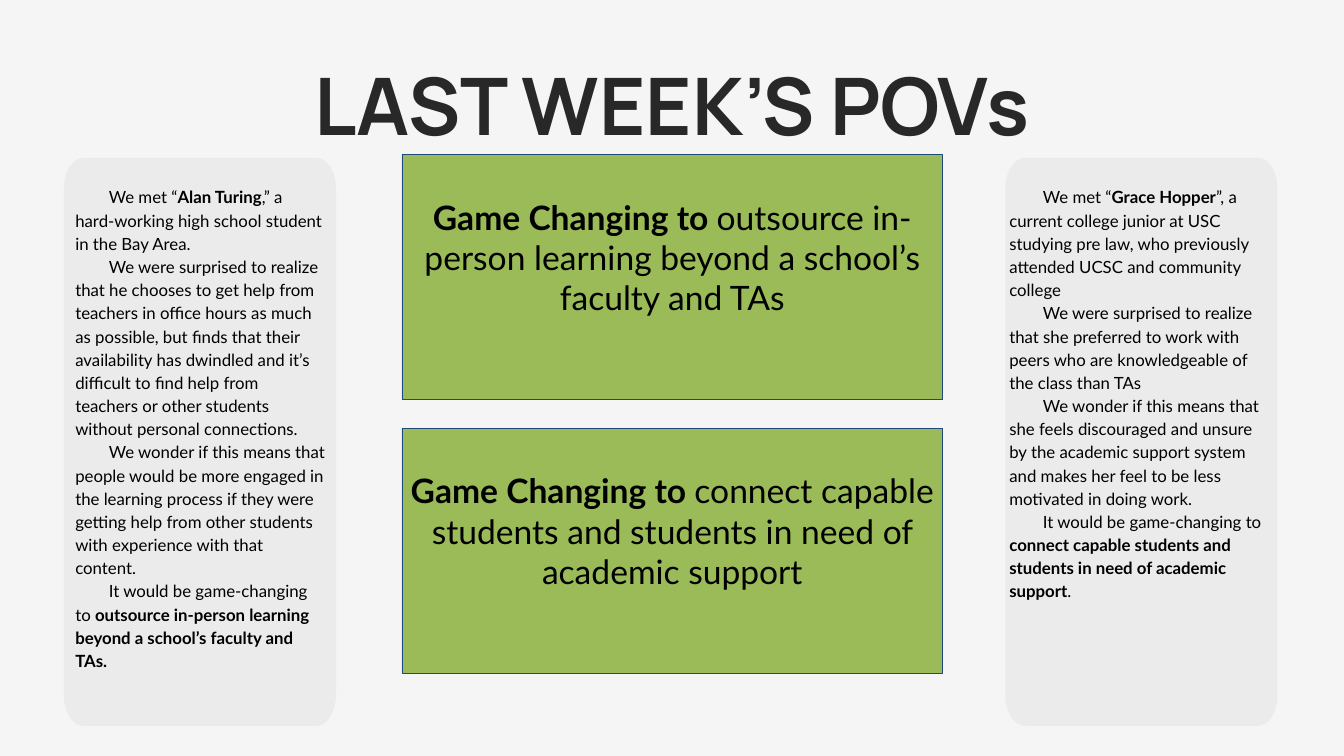
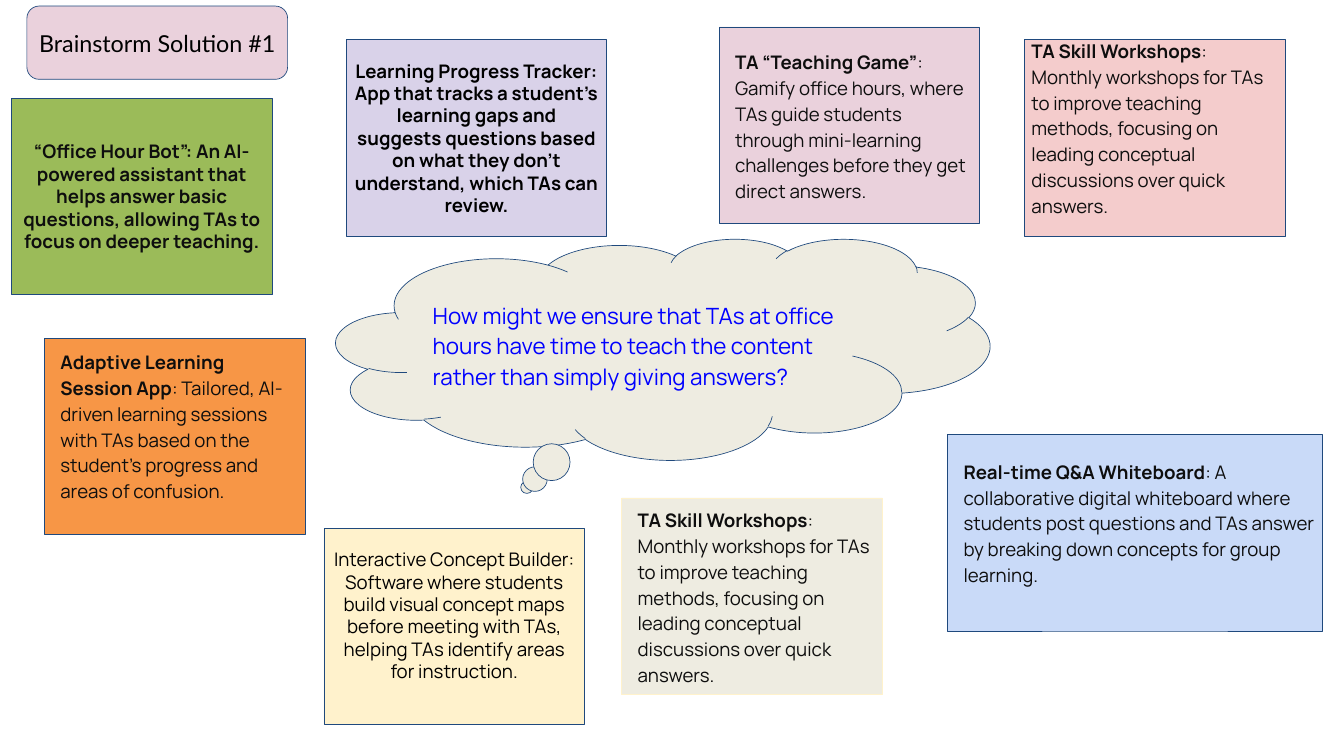
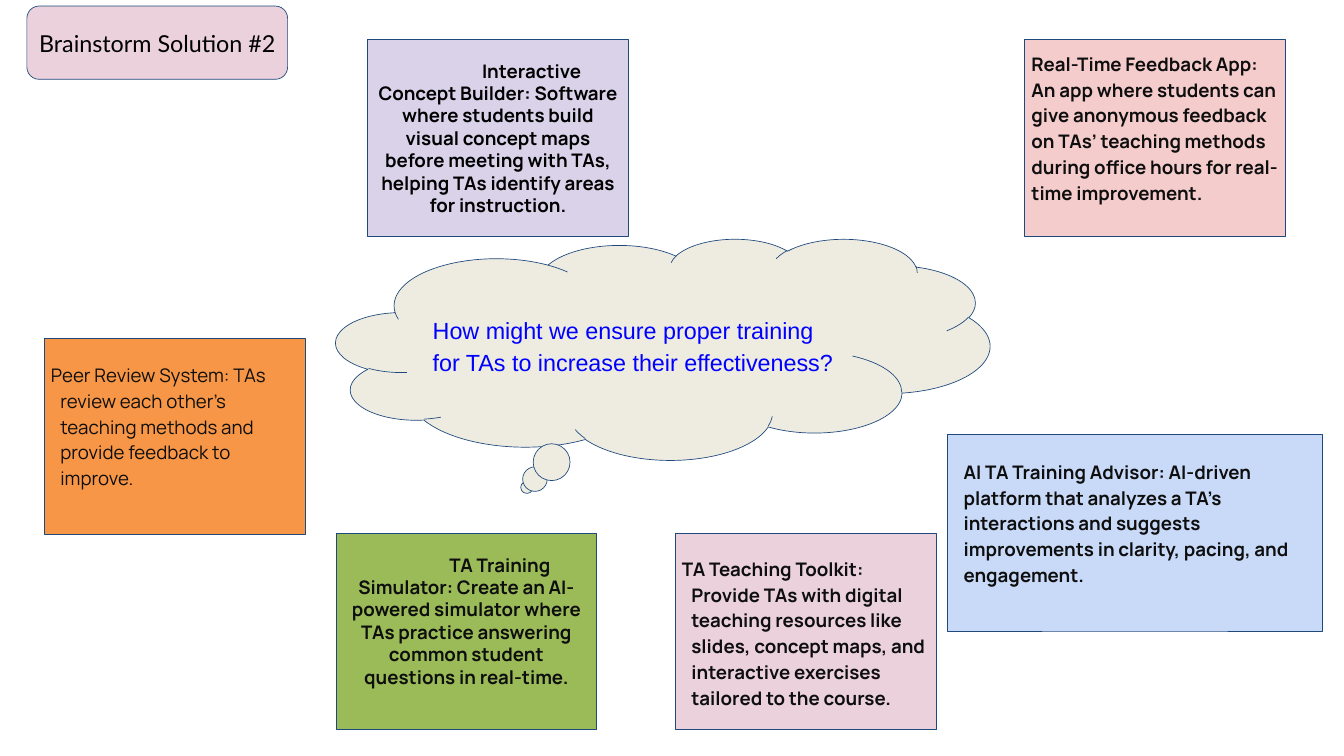
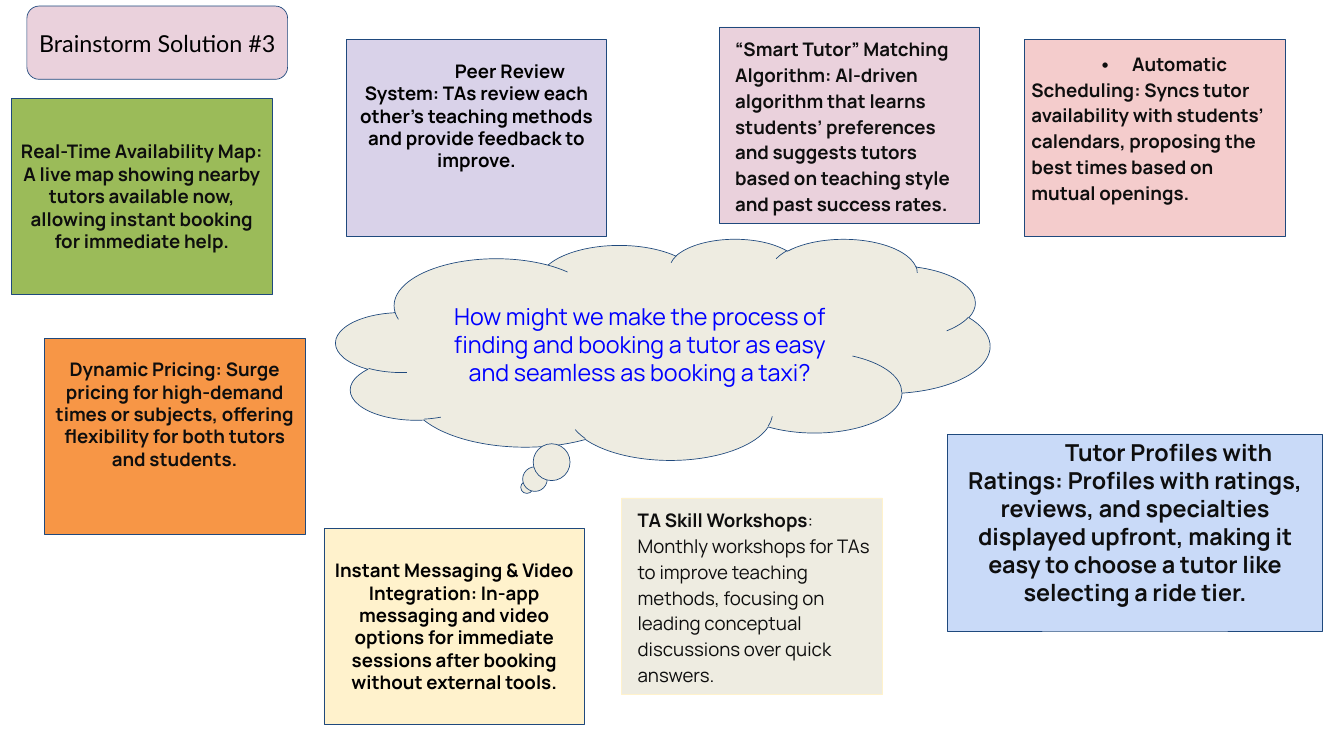
from dataclasses import dataclass
from math import cos, pi, sin

from pptx import Presentation
from pptx.dml.color import RGBColor
from pptx.enum import shapes, text
from pptx.util import Inches, Pt


@dataclass(frozen=True)
class Theme:
    page: str = "FFFFFF"
    pale_page: str = "F5F5F5"
    panel: str = "EBEBEB"
    outline: str = "1F497D"
    title: str = "282828"
    black: str = "000000"
    ink: str = "0E0E0E"
    question: str = "0000FF"
    green: str = "9BBB59"
    lavender: str = "D9D2E9"
    cream: str = "FFF2CC"
    blue: str = "C9DAF8"
    pink: str = "EAD1DC"
    orange: str = "F79646"
    sand: str = "EEECE1"
    rose: str = "F4CCCC"
    title_size: float = 85
    statement_size: float = 36
    label_size: float = 25
    question_size: float = 24
    note_size: float = 20
    story_size: float = 18
    display_font: str = "Manrope"
    body_font: str = "Lato"
    plain_font: str = "Arial"


THEME = Theme()
INSET = 0.1
HANG = 0.14
NOTE_LINE = 0.33
NOTE_WIDTH, NOTE_HEIGHT = 3.88, 2.92
RECTANGLE = shapes.MSO_SHAPE.RECTANGLE
CENTER, LEFT = text.PP_ALIGN.CENTER, text.PP_ALIGN.LEFT


@dataclass(frozen=True)
class Box:
    left: float
    top: float
    width: float = NOTE_WIDTH
    height: float = NOTE_HEIGHT

    def lengths(self) -> tuple:
        return tuple(Inches(v) for v in (self.left, self.top, self.width, self.height))


@dataclass(frozen=True)
class Run:
    text: str
    bold: bool = False


@dataclass(frozen=True)
class Layout:
    """Paragraph format; margin and first_line are in inches."""
    align: text.PP_ALIGN = LEFT
    spacing: float = 1.15
    margin: float = 0
    first_line: float = 0


CENTERED = Layout(CENTER, 1)
CENTERED_SHIFTED = Layout(CENTER, 1, first_line=1)
FLUSH = Layout()
BULLET_LINE = Layout(first_line=1)
INDENTED = Layout(margin=HANG)
HANGING = Layout(margin=HANG, first_line=-HANG)
STORY = Layout(first_line=0.5)


@dataclass(frozen=True)
class Slot:
    """The usual place and colours of a sticky note."""
    box: Box
    fill: str
    ink: str = THEME.ink
    outline: str = THEME.outline


SLOTS = {
    "lavender": Slot(Box(5.15, 0.59), THEME.lavender, THEME.black),
    "cream": Slot(Box(4.82, 7.86), THEME.cream, THEME.black),
    "blue": Slot(Box(14.1, 6.47, 5.58), THEME.blue),
    "green": Slot(Box(0.17, 1.46), THEME.green),
    "pink": Slot(Box(10.7, 0.4), THEME.pink),
    "orange": Slot(Box(0.66, 5.03), THEME.orange),
    "sand": Slot(Box(9.25, 7.41), THEME.sand, outline=THEME.cream),
    "rose": Slot(Box(15.25, 0.59), THEME.rose),
}


@dataclass(frozen=True)
class Note:
    """A sticky note; room_below counts free lines under its text."""
    slot: str
    heading: str
    body: str = ""
    layout: Layout = CENTERED
    room_below: int = 0
    size: float = THEME.note_size
    box: Box | None = None


@dataclass(frozen=True)
class Brainstorm:
    label: str
    question: str
    notes: list[Note]
    font: str = THEME.display_font
    size: float = THEME.label_size
    layout: Layout = FLUSH


@dataclass(frozen=True)
class Story:
    panel: Box
    text_box: Box
    paragraphs: list[list[Run]]


@dataclass(frozen=True)
class Statement:
    top: float
    ending: str


def rgb(value: str) -> RGBColor:
    return RGBColor.from_string(value)


def new_slide(presentation, background: str):
    slide = presentation.slides.add_slide(presentation.slide_layouts[6])
    slide.background.fill.solid()
    slide.background.fill.fore_color.rgb = rgb(background)
    return slide


def write(frame, paragraphs: list[list[Run]], *, size: float, font: str, colour: str,
          layout: Layout, inset: float = INSET, room_below: float = 0,
          anchor=text.MSO_ANCHOR.MIDDLE) -> None:
    frame.word_wrap = True
    frame.vertical_anchor = anchor
    frame.margin_left = frame.margin_right = frame.margin_top = Inches(inset)
    frame.margin_bottom = Inches(inset + room_below)
    for index, runs in enumerate(paragraphs):
        paragraph = frame.add_paragraph() if index else frame.paragraphs[0]
        paragraph.alignment = layout.align
        paragraph.line_spacing = layout.spacing
        properties = paragraph._p.get_or_add_pPr()
        properties.set("marL", str(Inches(layout.margin)))
        properties.set("indent", str(Inches(layout.first_line)))
        for part in runs:
            run = paragraph.add_run()
            run.text = part.text
            run.font.size = Pt(size)
            run.font.name = font
            run.font.bold = part.bold
            run.font.color.rgb = rgb(colour)


def add_filled(slide, kind, box: Box, fill: str, outline: str = THEME.outline):
    shape = slide.shapes.add_shape(kind, *box.lengths())
    shape.shadow.inherit = False
    shape.fill.solid()
    shape.fill.fore_color.rgb = rgb(fill)
    shape.line.color.rgb = rgb(outline)
    shape.line.width = Pt(0.75)
    return shape


def add_text(slide, box: Box, paragraphs: list[list[Run]], **style) -> None:
    frame = slide.shapes.add_textbox(*box.lengths()).text_frame
    write(frame, paragraphs, inset=0, anchor=text.MSO_ANCHOR.TOP, **style)


def add_panel(slide, box: Box, radius_x: float = 0.29, radius_y: float = 0.46) -> None:
    """Draw a panel whose corners are quarter ellipses."""
    right, bottom = box.left + box.width - radius_x, box.top + box.height - radius_y
    left, top = box.left + radius_x, box.top + radius_y
    centers = [(right, bottom), (left, bottom), (left, top), (right, top)]
    steps = 12
    points = []
    for corner, (x, y) in enumerate(centers):
        for step in range(steps + 1):
            angle = (corner + step / steps) * pi / 2
            points.append((Inches(x + radius_x * cos(angle)), Inches(y + radius_y * sin(angle))))
    builder = slide.shapes.build_freeform(*points[0])
    builder.add_line_segments(points[1:], close=True)
    panel = builder.convert_to_shape()
    panel.shadow.inherit = False
    panel.fill.solid()
    panel.fill.fore_color.rgb = rgb(THEME.panel)
    panel.line.fill.background()


def add_note(slide, note: Note) -> None:
    slot = SLOTS[note.slot]
    shape = add_filled(slide, RECTANGLE, note.box or slot.box, slot.fill, slot.outline)
    runs = [Run(part, bold) for part, bold in ((note.heading, True), (note.body, False)) if part]
    write(shape.text_frame, [runs], size=note.size, font=THEME.display_font, colour=slot.ink,
          layout=note.layout, room_below=note.room_below * NOTE_LINE)


def add_brainstorm(presentation, brainstorm: Brainstorm) -> None:
    slide = new_slide(presentation, THEME.page)
    for note in brainstorm.notes:
        add_note(slide, note)
    cloud = add_filled(slide, shapes.MSO_SHAPE.CLOUD_CALLOUT, Box(5, 3.55, 9.73, 3.29), THEME.sand)
    cloud.adjustments[0], cloud.adjustments[1] = -0.208, 0.625
    write(cloud.text_frame, [[Run(brainstorm.question)]], size=brainstorm.size,
          font=brainstorm.font, colour=THEME.question, layout=brainstorm.layout)
    label = add_filled(slide, shapes.MSO_SHAPE.ROUNDED_RECTANGLE, Box(0.4, 0.09, 3.88, 1.09),
                       THEME.pink)
    write(label.text_frame, [[Run(brainstorm.label)]], size=THEME.label_size,
          font=THEME.body_font, colour=THEME.black, layout=CENTERED)


def add_povs(presentation) -> None:
    slide = new_slide(presentation, THEME.pale_page)
    add_text(slide, Box(1.37, 0.44, 17.25, 1.43), [[Run("LAST WEEK’S POVs", True)]],
             size=THEME.title_size, font=THEME.display_font, colour=THEME.title,
             layout=Layout(CENTER, 1.28))
    for story in STORIES:
        add_panel(slide, story.panel)
        add_text(slide, story.text_box, story.paragraphs, size=THEME.story_size,
                 font=THEME.body_font, colour=THEME.black, layout=STORY)
    for statement in STATEMENTS:
        shape = add_filled(slide, RECTANGLE, Box(5.98, statement.top, 8.05, 3.65), THEME.green)
        write(shape.text_frame, [[Run("Game Changing to ", True), Run(statement.ending)]],
              size=THEME.statement_size, font=THEME.body_font, colour=THEME.black,
              layout=CENTERED, room_below=0.6)


STORIES = [
    Story(Box(0.95, 2.35, 4.05, 8.45), Box(1.12, 2.74, 3.72, 7.62), [
        [Run("We met “"), Run("Alan Turing", True),
         Run(",” a hard-working high school student in the Bay Area.")],
        [Run("We were surprised to realize that he chooses to get help from teachers in office "
             "hours as much as possible, but finds that their availability has dwindled and it’s "
             "difficult to find help from teachers or other students without personal "
             "connections.")],
        [Run("We wonder if this means that people would be more engaged in the learning process "
             "if they were getting help from other students with experience with that content.")],
        [Run("It would be game-changing to "),
         Run("outsource in-person learning beyond a school’s faculty and TAs.", True)],
    ]),
    Story(Box(14.96, 2.35, 4.05, 8.45), Box(15.02, 2.74, 3.93, 6.92), [
        [Run("We met “"), Run("Grace Hopper", True),
         Run("”, a current college junior at USC studying pre law, who previously attended UCSC "
             "and community college")],
        [Run("We were surprised to realize that she preferred to work with peers who are "
             "knowledgeable of the class than TAs")],
        [Run("We wonder if this means that she feels discouraged and unsure by the academic "
             "support system and makes her feel to be less motivated in doing work.")],
        [Run("It would be game-changing to "),
         Run("connect capable students and students in need of academic support", True),
         Run(".")],
    ]),
]

STATEMENTS = [
    Statement(6.37, "connect capable students and students in need of academic support"),
    Statement(2.3, "outsource in-person learning beyond a school’s faculty and TAs"),
]

WORKSHOP_HEADING = "TA Skill Workshops"
WORKSHOP_BODY = (": Monthly workshops for TAs to improve teaching methods, focusing on leading "
                 "conceptual discussions over quick answers.")
WORKSHOPS = Note("sand", WORKSHOP_HEADING, WORKSHOP_BODY, INDENTED)
CONCEPT_BUILDER = ("Interactive Concept Builder: Software where students build visual concept maps "
                   "before meeting with TAs, helping TAs identify areas for instruction.")
PEER_REVIEW = ("Peer Review System: TAs review each other’s teaching methods and provide feedback "
               "to improve.")

BRAINSTORMS = [
    Brainstorm(
        "Brainstorm Solution #1",
        "How might we ensure that TAs at office hours have time to teach the content rather than "
        "simply giving answers?",
        [
            Note("lavender", "Learning Progress Tracker: App that tracks a student’s learning gaps "
                 "and suggests questions based on what they don’t understand, which TAs can "
                 "review."),
            Note("cream", "", CONCEPT_BUILDER, room_below=1),
            Note("blue", "Real-time Q&A Whiteboard", ": A collaborative digital whiteboard where "
                 "students post questions and TAs answer by breaking down concepts for group "
                 "learning.", INDENTED, 1),
            Note("green", "“Office Hour Bot”: An AI-powered assistant that helps answer basic "
                 "questions, allowing TAs to focus on deeper teaching."),
            Note("pink", "TA “Teaching Game”", ": Gamify office hours, where TAs guide students "
                 "through mini-learning challenges before they get direct answers.", INDENTED),
            Note("orange", "Adaptive Learning Session App", ": Tailored, AI-driven learning "
                 "sessions with TAs based on the student’s progress and areas of confusion.",
                 INDENTED, 1),
            WORKSHOPS,
            Note("rose", WORKSHOP_HEADING, WORKSHOP_BODY, FLUSH, 1),
        ],
        size=THEME.question_size,
    ),
    Brainstorm(
        "Brainstorm Solution #2",
        "How might we ensure proper training for TAs to increase their effectiveness?",
        [
            Note("lavender", CONCEPT_BUILDER, layout=CENTERED_SHIFTED, box=Box(5.47, 0.59)),
            Note("blue", "AI TA Training Advisor: AI-driven platform that analyzes a TA’s "
                 "interactions and suggests improvements in clarity, pacing, and engagement.",
                 layout=INDENTED, room_below=1),
            Note("green", "TA Training Simulator: Create an AI-powered simulator where TAs "
                 "practice answering common student questions in real-time.",
                 layout=CENTERED_SHIFTED, room_below=1, box=Box(5, 7.94)),
            Note("pink", "TA Teaching Toolkit: Provide TAs with digital teaching resources like "
                 "slides, concept maps, and interactive exercises tailored to the course.",
                 layout=HANGING, box=Box(10.05, 7.94)),
            Note("orange", "", PEER_REVIEW, HANGING, 1),
            Note("rose", "Real-Time Feedback App: An app where students can give anonymous "
                 "feedback on TAs’ teaching methods during office hours for real-time "
                 "improvement.", layout=FLUSH, room_below=1),
        ],
        font=THEME.plain_font,
    ),
    Brainstorm(
        "Brainstorm Solution #3",
        "How might we make the process of finding and booking a tutor as easy and seamless as "
        "booking a taxi?",
        [
            Note("lavender", PEER_REVIEW, layout=CENTERED_SHIFTED, room_below=2),
            Note("cream", "Instant Messaging & Video Integration: In-app messaging and video "
                 "options for immediate sessions after booking without external tools."),
            Note("blue", "Tutor Profiles with Ratings: Profiles with ratings, reviews, and "
                 "specialties displayed upfront, making it easy to choose a tutor like selecting "
                 "a ride tier.", layout=CENTERED_SHIFTED, room_below=1, size=THEME.label_size),
            Note("green", "Real-Time Availability Map: A live map showing nearby tutors available "
                 "now, allowing instant booking for immediate help."),
            Note("pink", "“Smart Tutor” Matching Algorithm: AI-driven algorithm that learns "
                 "students’ preferences and suggests tutors based on teaching style and past "
                 "success rates.", layout=INDENTED),
            Note("orange", "Dynamic Pricing: Surge pricing for high-demand times or subjects, "
                 "offering flexibility for both tutors and students.", room_below=2),
            WORKSHOPS,
            Note("rose", "•\tAutomatic Scheduling: Syncs tutor availability with students’ "
                 "calendars, proposing the best times based on mutual openings.",
                 layout=BULLET_LINE, room_below=1),
        ],
        layout=CENTERED,
    ),
]


def main() -> None:
    presentation = Presentation()
    presentation.slide_width, presentation.slide_height = Inches(20), Inches(11.25)
    add_povs(presentation)
    for brainstorm in BRAINSTORMS:
        add_brainstorm(presentation, brainstorm)
    presentation.save("out.pptx")


if __name__ == "__main__":
    main()
